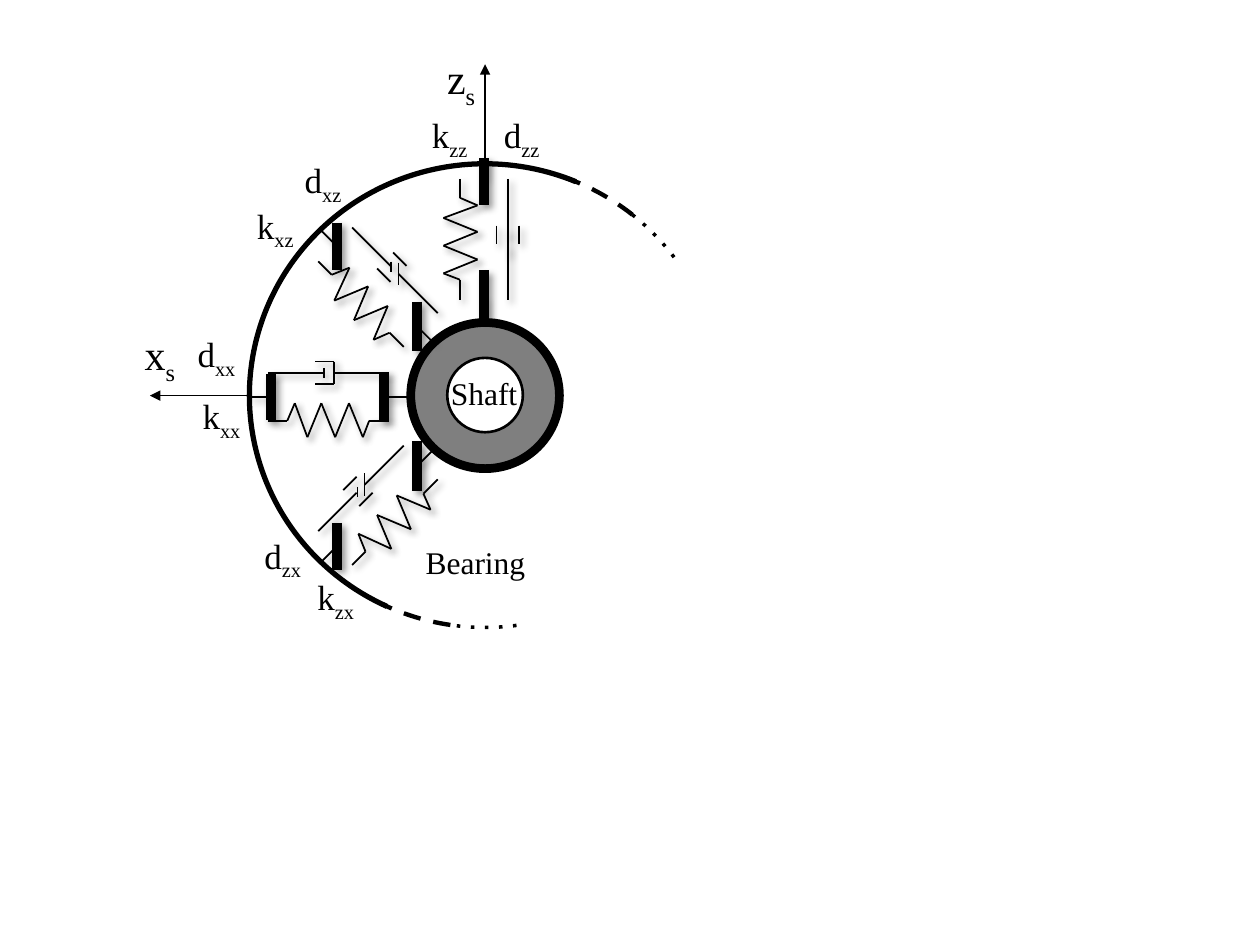
from itertools import pairwise
from math import cos, radians, sin

from lxml.etree import SubElement
from pptx import Presentation
from pptx.dml.color import RGBColor
from pptx.enum.shapes import MSO_CONNECTOR, MSO_SHAPE
from pptx.enum.text import MSO_AUTO_SIZE
from pptx.oxml.ns import qn
from pptx.util import Inches, Pt

SLIDE_WIDTH, SLIDE_HEIGHT = Inches(10), Inches(7.5)
GRID = SLIDE_WIDTH // 10  # square grid of 10 columns by 7.5 rows

BLACK = RGBColor(0x00, 0x00, 0x00)
GREY = RGBColor(0x7F, 0x7F, 0x7F)
WHITE = RGBColor(0xFF, 0xFF, 0xFF)
FONT = "Times New Roman"

# Spring-damper unit, as (along, across) grid offsets from its centre
SPRING = [(-0.48, 0.19), (-0.33, 0.19), (-0.27, 0.05), (-0.17, 0.32),
          (-0.06, 0.05), (0.05, 0.32), (0.16, 0.05), (0.27, 0.32),
          (0.32, 0.19), (0.48, 0.19)]
STUBS_RODS_RAILS = [
    ((-0.63, 0), (-0.48, 0)), ((0.46, 0), (0.62, 0)),
    ((-0.48, -0.19), (-0.05, -0.19)), ((0.04, -0.19), (0.48, -0.19)),
    ((-0.11, -0.28), (0.04, -0.28)), ((-0.11, -0.1), (0.04, -0.1)),
]
# Parts that stay upright at every angle: centre, length, line width
UPRIGHTS = [((-0.46, 0), 0.37, 5.5), ((0.44, 0), 0.39, 5.5),
            ((-0.04, -0.19), 0.08, 1), ((0.04, -0.19), 0.18, 1)]

# Unit centre and angle, clockwise from the horizontal
UNITS = [((2.61, 3.15), 0), ((3.84, 1.9), 90),
         ((3, 2.28), 45), ((3, 4.01), -45)]

# Text, subscript, size, box
LABELS = [
    ("x", "s", 24, (1.05, 2.56, 0.46, 0.5)),
    ("z", "s", 24, (3.45, 0.37, 0.44, 0.5)),
    ("Shaft", "", 18, (3.48, 2.92, 0.73, 0.4)),
    ("Bearing", "", 18, (3.28, 4.26, 1, 0.4)),
    ("k", "zz", 20, (3.33, 0.85, 0.51, 0.44)),
    ("k", "xz", 20, (1.94, 1.57, 0.52, 0.44)),
    ("k", "zx", 20, (2.42, 4.52, 0.52, 0.44)),
    ("k", "xx", 20, (1.51, 3.08, 0.53, 0.44)),
    ("d", "zz", 20, (3.9, 0.85, 0.51, 0.44)),
    ("d", "xz", 20, (2.32, 1.21, 0.52, 0.44)),
    ("d", "zx", 20, (2, 4.19, 0.52, 0.44)),
    ("d", "xx", 20, (1.47, 2.59, 0.53, 0.44)),
]

# Start and end in degrees, line width, dash
HOUSING_ARCS = [
    (114.95, 293, 3, None),
    (289.82, 309.54, 2.5, "dash"),
    (98.59, 116.3, 2.5, "dash"),
    (82.2, 99.72, 2, "dot"),
    (309.12, 324.2, 2, "dot"),
]


def on_grid(lengths):
    return [round(GRID * length) for length in lengths]


def style_line(shape, width):
    shape.line.color.rgb = BLACK
    shape.line.width = Pt(width)


def add_line(slide, start, end, width=1, arrow=False, shadow=False):
    line = slide.shapes.add_connector(
        MSO_CONNECTOR.STRAIGHT, *on_grid(start), *on_grid(end))
    style_line(line, width)
    properties = line._element.spPr
    if arrow:
        SubElement(properties.find(qn("a:ln")), qn("a:tailEnd"), type="triangle")
    effects = SubElement(properties, qn("a:effectLst"))
    if shadow:
        outer = SubElement(effects, qn("a:outerShdw"), blurRad=str(Pt(4)),
                           dist=str(Pt(3)), dir=str(45 * 60000),
                           algn="tl", rotWithShape="0")
        color = SubElement(outer, qn("a:srgbClr"), val=str(BLACK))
        SubElement(color, qn("a:alpha"), val="40000")


def add_outline(slide, kind, box, width, fill=None):
    shape = slide.shapes.add_shape(kind, *on_grid(box))
    shape.shadow.inherit = False
    if fill is None:
        shape.fill.background()
    else:
        shape.fill.solid()
        shape.fill.fore_color.rgb = fill
    style_line(shape, width)
    return shape


def add_arc(slide, start, end, width, dash):
    arc = add_outline(slide, MSO_SHAPE.ARC, (1.98, 1.3, 3.74, 3.68), width)
    for index, degrees in enumerate((start, end)):
        arc.adjustments[index] = degrees * 0.6  # 60000 per degree, in 100000ths
    if dash:
        SubElement(arc._element.spPr.find(qn("a:ln")), qn("a:prstDash"), val=dash)


def add_label(slide, text, subscript, size, box):
    text_box = slide.shapes.add_textbox(*on_grid(box))
    frame = text_box.text_frame
    frame.word_wrap = False
    frame.auto_size = MSO_AUTO_SIZE.SHAPE_TO_FIT_TEXT
    paragraph = frame.paragraphs[0]
    for content, baseline in ((text, None), (subscript, "-25000")):
        if not content:
            continue
        run = paragraph.add_run()
        run.text = content
        run.font.name = FONT
        run.font.size = Pt(size)
        run.font.color.rgb = BLACK
        if baseline:
            run.font._element.set("baseline", baseline)


def add_spring_damper(slide, center, angle):
    """Draw one unit turned about its centre; its plates stay upright."""
    cosine, sine = cos(radians(angle)), sin(radians(angle))

    def place(point):
        along, across = point
        return (center[0] + along * cosine - across * sine,
                center[1] + along * sine + across * cosine)

    for middle, length, width in UPRIGHTS:
        x, y = place(middle)
        add_line(slide, (x, y - length / 2), (x, y + length / 2), width, shadow=True)
    for start, end in [*STUBS_RODS_RAILS, *pairwise(SPRING)]:
        add_line(slide, place(start), place(end), shadow=True)


def main():
    presentation = Presentation()
    presentation.slide_width, presentation.slide_height = SLIDE_WIDTH, SLIDE_HEIGHT
    slide = presentation.slides.add_slide(presentation.slide_layouts[6])

    add_outline(slide, MSO_SHAPE.OVAL, (3.26, 2.56, 1.18, 1.16), 5, GREY)
    add_outline(slide, MSO_SHAPE.OVAL, (3.55, 2.84, 0.6, 0.59), 1.5, WHITE)
    add_line(slide, (3.85, 1.3), (3.85, 0.51), arrow=True)
    add_line(slide, (1.98, 3.14), (1.19, 3.14), arrow=True)
    for center, angle in UNITS:
        add_spring_damper(slide, center, angle)
    for label in LABELS:
        add_label(slide, *label)
    for arc in HOUSING_ARCS:
        add_arc(slide, *arc)

    presentation.save("out.pptx")


if __name__ == "__main__":
    main()
